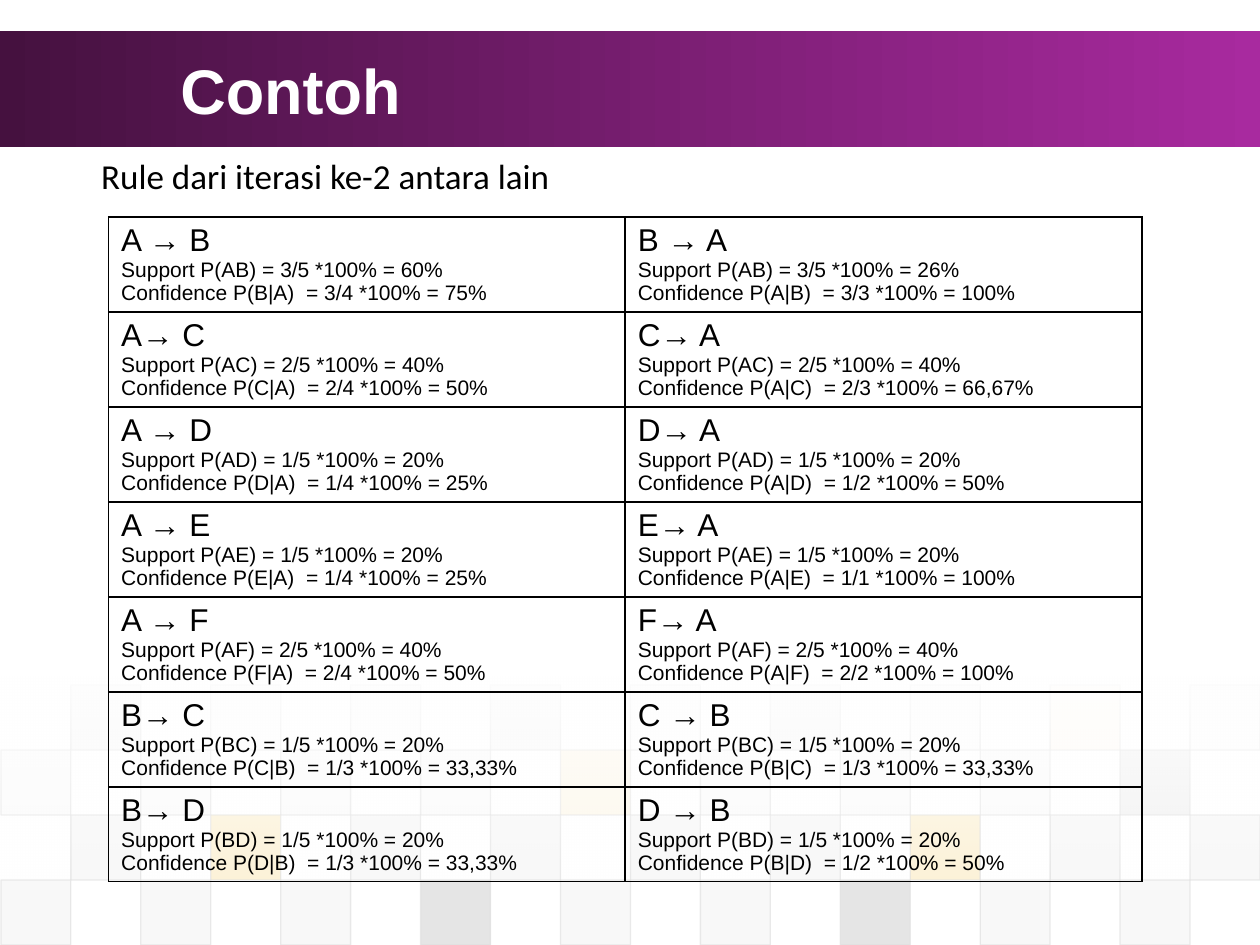
from lxml.etree import SubElement
from pptx import Presentation
from pptx.dml.color import RGBColor
from pptx.enum.shapes import MSO_SHAPE as Shape
from pptx.enum.text import MSO_ANCHOR as Anchor, PP_ALIGN as Align
from pptx.oxml import parse_xml
from pptx.oxml.ns import nsdecls, qn
from pptx.util import Cm, Pt

GRAY, DARK, PALE, GOLD = "DDDDDD", "808080", "EAEAEA", "F1C23D"
TILE_ROWS = [
    (1, 5, [DARK, PALE, PALE, DARK, GRAY, DARK, PALE, GOLD, PALE]),
    (0, 10, [GRAY, GRAY, GRAY, GRAY, GOLD, GRAY, GRAY, GRAY, DARK]),
    (1, 20, [GRAY, GOLD, GRAY, GRAY, GRAY, GRAY, GOLD, GRAY, GRAY]),
    (0, 20, [GRAY, GRAY, GRAY, DARK, GRAY, GRAY, DARK, GRAY, GRAY]),
]
TILE_WIDTH, TILE_HEIGHT, TILES_LEFT, TILES_TOP = 1.41, 1.31, 0.02, 13.81

RULES = [
    [("A → B", "3/5", "60%", "3/4", "75%"), ("B → A", "3/5", "26%", "3/3", "100%")],
    [("A→ C", "2/5", "40%", "2/4", "50%"), ("C→ A", "2/5", "40%", "2/3", "66,67%")],
    [("A → D", "1/5", "20%", "1/4", "25%"), ("D→ A", "1/5", "20%", "1/2", "50%")],
    [("A → E", "1/5", "20%", "1/4", "25%"), ("E→ A", "1/5", "20%", "1/1", "100%")],
    [("A → F", "2/5", "40%", "2/4", "50%"), ("F→ A", "2/5", "40%", "2/2", "100%")],
    [("B→ C", "1/5", "20%", "1/3", "33,33%"), ("C → B", "1/5", "20%", "1/3", "33,33%")],
    [("B→ D", "1/5", "20%", "1/3", "33,33%"), ("D → B", "1/5", "20%", "1/2", "50%")],
]


def color(value):
    """Turn a hex string into a colour."""
    return RGBColor.from_string(value)


def set_opacity(fill_color, percent):
    """Make a colour element partly transparent."""
    SubElement(fill_color, qn("a:alpha"), val=str(percent * 1000))


def style_font(font, name, size, value, bold=False):
    """Set the main properties of a font."""
    font.name, font.size, font.bold = name, Pt(size), bold
    font.color.rgb = color(value)


def add_rect(page, left, top, width, height):
    """Add a rectangle without a shadow or an outline."""
    rect = page.shapes.add_shape(
        Shape.RECTANGLE, Cm(left), Cm(top), Cm(width), Cm(height))
    rect.shadow.inherit = False
    rect.line.fill.background()
    return rect


def add_gradient(page, place, ends, angle, opacities=(100, 100)):
    """Add a rectangle with a linear two-colour gradient."""
    rect = add_rect(page, *place)
    rect.fill.gradient()
    rect.fill.gradient_angle = angle
    for stop, position, value in zip(rect.fill.gradient_stops, (0, 1), ends):
        stop.position = position
        stop.color.rgb = color(value)
    stops = rect._element.spPr.iter(qn("a:srgbClr"))
    for fill_color, opacity in zip(list(stops), opacities):
        set_opacity(fill_color, opacity)


def add_tiles(page):
    """Lay out the checkerboard along the bottom of the page."""
    for row, (first, opacity, values) in enumerate(TILE_ROWS):
        for index, value in enumerate(values):
            left = TILES_LEFT + (first + 2 * index) * TILE_WIDTH
            tile = add_rect(page, left, TILES_TOP + row * TILE_HEIGHT,
                            TILE_WIDTH, TILE_HEIGHT)
            tile.fill.solid()
            tile.fill.fore_color.rgb = color(value)
            tile.line.color.rgb = color(GRAY)
            tile.line.width = Pt(0.75)
            fill_color, line_color = tile._element.spPr.iter(qn("a:srgbClr"))
            set_opacity(fill_color, opacity)
            set_opacity(line_color, 60)


def format_title(page, text):
    """Place the title in front of the header band."""
    title = page.shapes.title
    page.shapes._spTree.append(title._element)
    title.left, title.top, title.width, title.height = (
        Cm(3.38), Cm(0.64), Cm(20.52), Cm(2.34))
    title.text_frame.text = text
    title.text_frame.vertical_anchor = Anchor.MIDDLE
    para = title.text_frame.paragraphs[0]
    para.alignment = Align.LEFT
    style_font(para.font, "Arial", 36, "FFFFFF", bold=True)


def add_intro(page, text):
    """Add the line above the table."""
    box = page.shapes.add_textbox(Cm(1.79), Cm(2.98), Cm(13.69), Cm(1.4))
    box.text_frame.word_wrap = True
    box.text_frame.text = text
    style_font(box.text_frame.paragraphs[0].font, "Calibri", 20, "000000")


def add_borders(cell):
    """Draw a thin black line on every side of a cell."""
    properties = cell._tc.get_or_add_tcPr()
    for index, side in enumerate("LRTB"):
        properties.insert(index, parse_xml(
            f'<a:ln{side} {nsdecls("a")} w="12700"><a:solidFill>'
            f'<a:srgbClr val="000000"/></a:solidFill></a:ln{side}>'))


def fill_rule(cell, rule, support, support_rate, confidence, confidence_rate):
    """Write one association rule with its support and confidence."""
    source, target = rule[0], rule[-1]
    items = "".join(sorted(source + target))
    cell.text = "\n".join([
        rule,
        f"Support P({items}) = {support} *100% = {support_rate}",
        f"Confidence P({target}|{source})  = {confidence} *100% = {confidence_rate}",
    ])
    for para, size in zip(cell.text_frame.paragraphs, (18, 12, 12)):
        style_font(para.font, "Arial", size, "000000")
    cell.margin_bottom = 0
    cell.fill.background()
    add_borders(cell)


def add_rules(page):
    """Add the table of rules."""
    frame = page.shapes.add_table(
        len(RULES), 2, Cm(2.19), Cm(4.37), Cm(20.83), Cm(13.41))
    table = frame.table
    table.first_row = table.horz_banding = False
    for row, pair in enumerate(RULES):
        for column, rule in enumerate(pair):
            fill_rule(table.cell(row, column), *rule)


def main():
    """Build and save the slide."""
    deck = Presentation()
    deck.slide_width, deck.slide_height = Cm(25.4), Cm(19.05)
    page = deck.slides.add_slide(deck.slide_layouts[5])
    add_gradient(page, (0, 0.62, 25.4, 2.34), ("45113F", "A82A9F"), 0)
    add_tiles(page)
    add_gradient(page, (0, 13.64, 25.4, 4.11), ("FFFFFF", "FFFFFF"), 270, (90, 0))
    format_title(page, "Contoh")
    add_intro(page, "Rule dari iterasi ke-2 antara lain")
    add_rules(page)
    deck.save("out.pptx")


if __name__ == "__main__":
    main()
